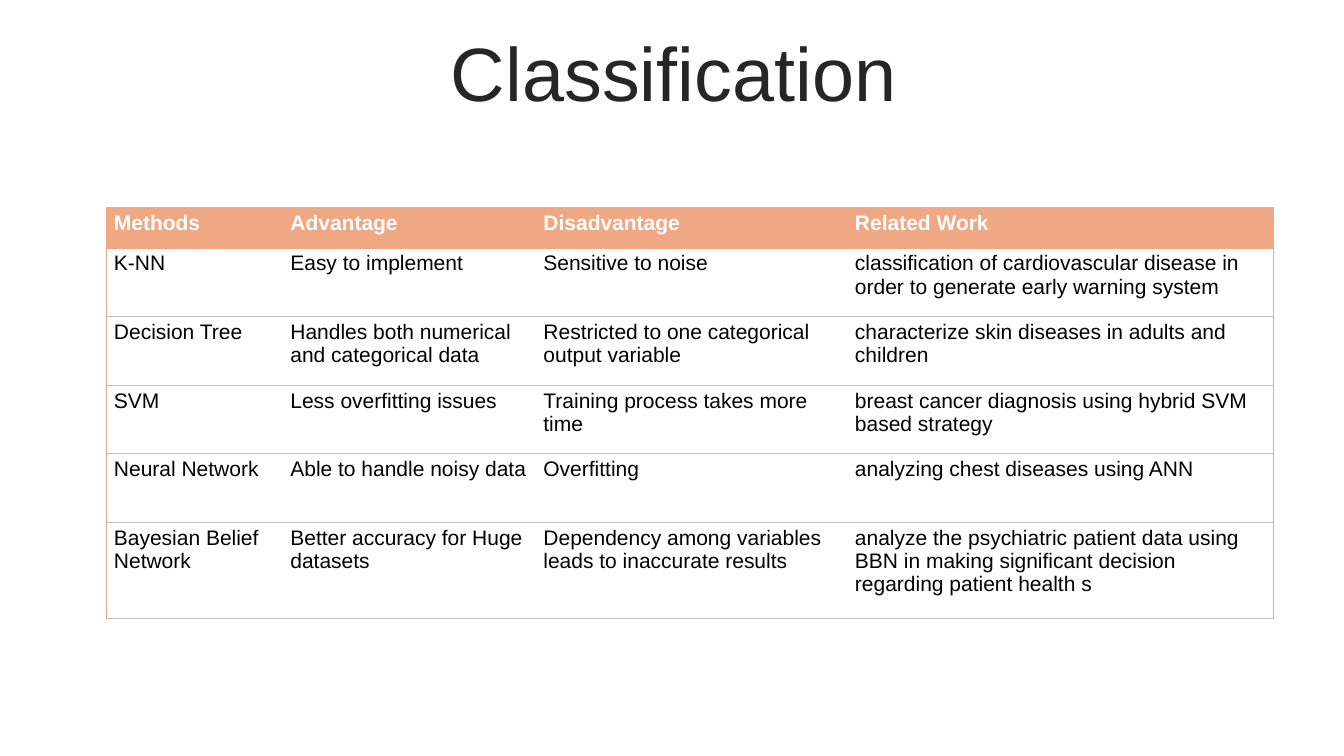
from lxml import etree
from pptx import Presentation
from pptx.dml.color import RGBColor
from pptx.enum.text import MSO_ANCHOR, PP_ALIGN
from pptx.oxml.ns import qn
from pptx.util import Inches, Pt

CENTER, MIDDLE = PP_ALIGN.CENTER, MSO_ANCHOR.MIDDLE

THEME = {
    "font": "Arial", "title_size": 54, "table_size": 15, "border_width": 0.5,
    "title": "262626", "header_fill": "F0A884", "header_text": "FFFFFF",
    "body_fill": "FFFFFF", "body_text": "000000",
    "frame": "F0A884", "rule": "BFBFBF",
}
SLIDE_W, SLIDE_H = 13.33, 7.5
TABLE_LEFT, TABLE_TOP = 1.05, 2.06
COLUMN_WIDTHS = [1.75, 2.51, 3.09, 4.23]
ROW_HEIGHTS = [0.4] + [0.68] * 4 + [0.95]
METHODS = [
    ["Methods", "Advantage", "Disadvantage", "Related Work"],
    ["K-NN", "Easy to implement", "Sensitive to noise",
     "classification of cardiovascular disease in order to generate early warning system"],
    ["Decision Tree", "Handles both numerical and categorical data",
     "Restricted to one categorical output variable",
     "characterize skin diseases in adults and children"],
    ["SVM", "Less overfitting issues", "Training process takes more time",
     "breast cancer diagnosis using hybrid SVM based strategy"],
    ["Neural Network", "Able to handle noisy data", "Overfitting",
     "analyzing chest diseases using ANN"],
    ["Bayesian Belief Network", "Better accuracy for Huge datasets",
     "Dependency among variables leads to inaccurate results",
     "analyze the psychiatric patient data using BBN in making significant decision "
     "regarding patient health s"],
]


def style_text(paragraph, size, color, bold=False):
    font = paragraph.runs[0].font
    font.name, font.size, font.bold = THEME["font"], Pt(size), bold
    font.color.rgb = RGBColor.from_string(color)


def add_border(cell, side, color):
    line = etree.SubElement(cell._tc.get_or_add_tcPr(), qn(f"a:ln{side}"),
                            w=str(Pt(THEME["border_width"])))
    if color is None:
        etree.SubElement(line, qn("a:noFill"))
    else:
        fill = etree.SubElement(line, qn("a:solidFill"))
        etree.SubElement(fill, qn("a:srgbClr"), val=color)


prs = Presentation()
prs.slide_width, prs.slide_height = Inches(SLIDE_W), Inches(SLIDE_H)
slide = prs.slides.add_slide(prs.slide_layouts[6])

heading = slide.shapes.add_textbox(
    Inches(0.35), Inches(0.37), Inches(SLIDE_W * 0.95), Inches(0.79)).text_frame
heading.word_wrap = True
heading.vertical_anchor = MIDDLE
heading.text = "Classification"
heading_line = heading.paragraphs[0]
heading_line.alignment = CENTER
heading_line.line_spacing = 0.9
heading_line.space_before = Pt(10)
style_text(heading_line, THEME["title_size"], THEME["title"])

comparison = slide.shapes.add_table(
    len(ROW_HEIGHTS), len(COLUMN_WIDTHS), Inches(TABLE_LEFT), Inches(TABLE_TOP),
    Inches(sum(COLUMN_WIDTHS)), Inches(sum(ROW_HEIGHTS))).table
comparison.horz_banding = False
for column, width in zip(comparison.columns, COLUMN_WIDTHS):
    column.width = Inches(width)
for row, height in zip(comparison.rows, ROW_HEIGHTS):
    row.height = Inches(height)

last_column = len(COLUMN_WIDTHS) - 1
for r, method in enumerate(METHODS):
    part = "header" if r == 0 else "body"
    for c, wording in enumerate(method):
        cell = comparison.cell(r, c)
        cell.text_frame.text = wording
        style_text(cell.text_frame.paragraphs[0], THEME["table_size"],
                   THEME[f"{part}_text"], bold=r == 0)
        cell.margin_left = cell.margin_right = Inches(0.08)
        cell.margin_top = cell.margin_bottom = Inches(0.04)
        add_border(cell, "L", THEME["frame"] if c == 0 else None)
        add_border(cell, "R", THEME["frame"] if c == last_column else None)
        add_border(cell, "T", THEME["frame"] if r < 2 else THEME["rule"])
        add_border(cell, "B", THEME["frame"] if r == 0 else THEME["rule"])
        cell.fill.solid()
        cell.fill.fore_color.rgb = RGBColor.from_string(THEME[f"{part}_fill"])

prs.save("out.pptx")
